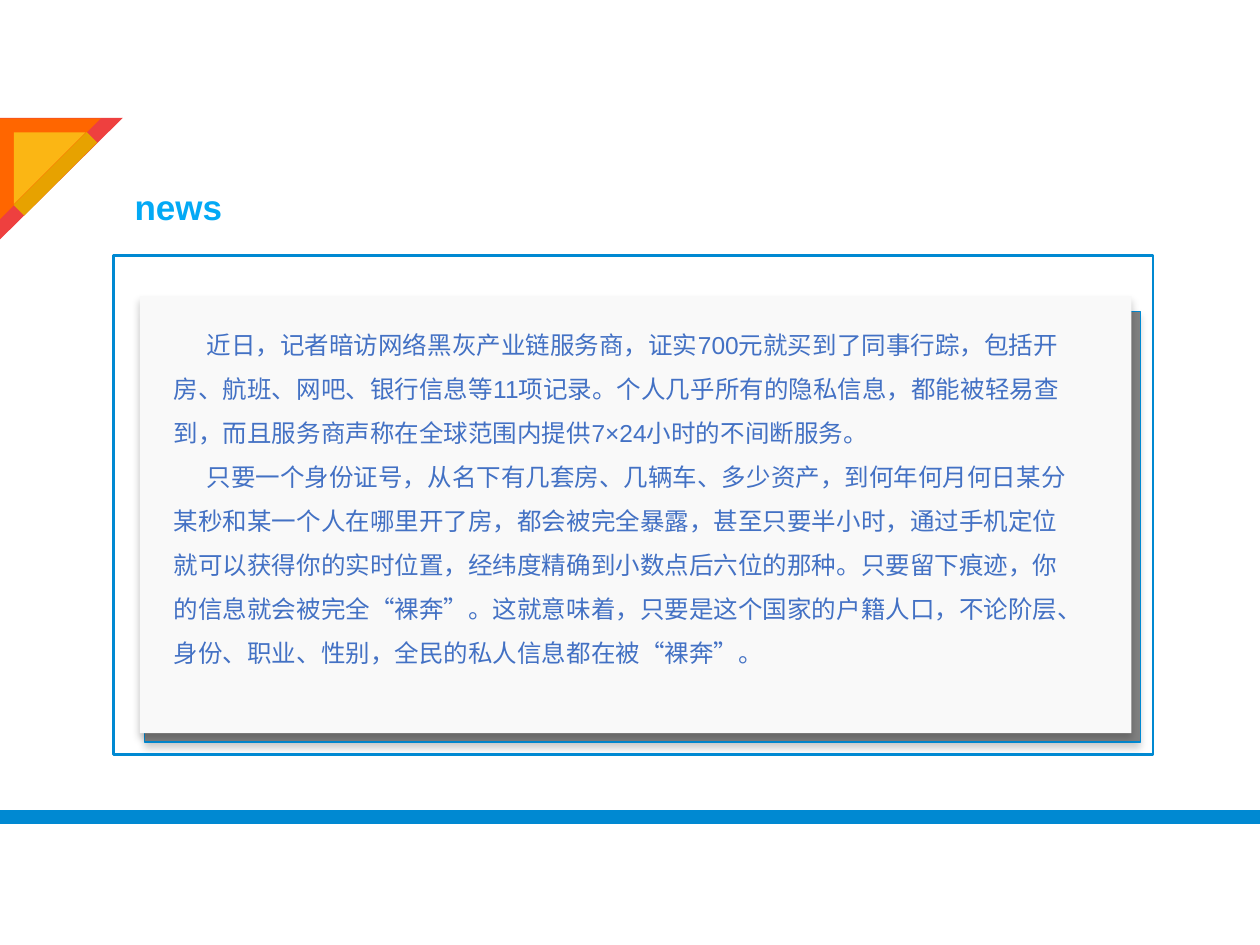
from lxml.etree import SubElement
from pptx import Presentation
from pptx.dml.color import RGBColor
from pptx.enum.lang import MSO_LANGUAGE_ID as Language
from pptx.enum.shapes import MSO_SHAPE as Shape
from pptx.enum.text import MSO_AUTO_SIZE as AutoSize
from pptx.oxml.ns import qn
from pptx.util import Inches, Pt

BLUE = RGBColor(0x00, 0x89, 0xD2)
TITLE_BLUE = RGBColor(0x03, 0xA9, 0xF5)
TEXT_BLUE = RGBColor(0x43, 0x71, 0xC4)
GRAY = RGBColor(0x80, 0x80, 0x80)
PAPER = RGBColor(0xF9, 0xF9, 0xF9)
RED = RGBColor(0xEE, 0x40, 0x3F)
ORANGE = RGBColor(0xFF, 0x66, 0x00)
YELLOW = RGBColor(0xFB, 0xB6, 0x14)
GOLD = RGBColor(0xE7, 0xA2, 0x00)

FONT = "Arial"
NEWS = [
    "近日，记者暗访网络黑灰产业链服务商，证实700元就买到了同事行踪，包括开房、航班、网吧、"
    "银行信息等11项记录。个人几乎所有的隐私信息，都能被轻易查到，而且服务商声称在全球范围内"
    "提供7×24小时的不间断服务。",
    "只要一个身份证号，从名下有几套房、几辆车、多少资产，到何年何月何日某分某秒和某一个人在"
    "哪里开了房，都会被完全暴露，甚至只要半小时，通过手机定位就可以获得你的实时位置，经纬度"
    "精确到小数点后六位的那种。只要留下痕迹，你的信息就会被完全“裸奔”。这就意味着，只要是"
    "这个国家的户籍人口，不论阶层、身份、职业、性别，全民的私人信息都在被“裸奔”。",
]


def add_block(slide, kind, box, fill=None, line=None, width=0.75, rotation=0):
    shape = slide.shapes.add_shape(kind, *map(Inches, box))
    shape.shadow.inherit = False
    shape.rotation = rotation
    if fill is None:
        shape.fill.background()
    else:
        shape.fill.solid()
        shape.fill.fore_color.rgb = fill
    if line is None:
        shape.line.fill.background()
    else:
        shape.line.color.rgb = line
        shape.line.width = Pt(width)
    return shape


def add_drop_shadow(shape):
    effects = shape.element.spPr.find(qn("a:effectLst"))
    shadow = SubElement(effects, qn("a:outerShdw"), blurRad=str(Pt(4)),
                        dist=str(Pt(3)), dir="5400000", algn="t", rotWithShape="0")
    color = SubElement(shadow, qn("a:srgbClr"), val="000000")
    SubElement(color, qn("a:alpha"), val="20000")


def add_text(slide, box, paragraphs, size, color, bold=False, spacing=None,
             indent=0, margins=(0.1, 0.05), language=None):
    frame = slide.shapes.add_textbox(*map(Inches, box)).text_frame
    frame.word_wrap = True
    frame.auto_size = AutoSize.SHAPE_TO_FIT_TEXT
    frame.margin_left = frame.margin_right = Inches(margins[0])
    frame.margin_top = frame.margin_bottom = Inches(margins[1])
    for index, text in enumerate(paragraphs):
        paragraph = frame.add_paragraph() if index else frame.paragraphs[0]
        paragraph.line_spacing = spacing
        if indent:
            properties = paragraph._p.get_or_add_pPr()
            properties.set("marL", "0")
            properties.set("indent", str(Inches(indent)))
        run = paragraph.add_run()
        run.text = text
        run.font.name = FONT
        run.font.size = Pt(size)
        run.font.bold = bold
        run.font.color.rgb = color
        if language:
            run.font.language_id = language


def add_news_panel(slide):
    for box, fill, line in [((1.15, 2.47, 7.9, 3.42), GRAY, BLUE),
                            ((1.11, 2.35, 7.87, 3.47), PAPER, None)]:
        add_drop_shadow(add_block(slide, Shape.RECTANGLE, box, fill, line))
    add_text(slide, (0.97, 1.42, 1.2, 0.43), ["news"], 20, TITLE_BLUE, bold=True)
    add_block(slide, Shape.RECTANGLE, (0.9, 2.03, 8.25, 3.96), line=BLUE, width=1.5)
    add_text(slide, (1.3, 2.46, 7.34, 2.91), NEWS, 14, TEXT_BLUE, spacing=1.5,
             indent=0.26, margins=(0.08, 0.04), language=Language.SIMPLIFIED_CHINESE)


def add_corner(slide):
    for box, fill in [((0, 0.93, 0.97, 0.98), RED),
                      ((0, 0.94, 0.8, 0.8), ORANGE),
                      ((0.11, 1.05, 0.57, 0.57), YELLOW)]:
        add_block(slide, Shape.RIGHT_TRIANGLE, box, fill, rotation=90)
    add_block(slide, Shape.RECTANGLE, (0.38, 0.97, 0.12, 0.82), GOLD, rotation=45)


def main():
    presentation = Presentation()
    presentation.slide_width = Inches(10)
    presentation.slide_height = Inches(7.5)
    slide = presentation.slides.add_slide(presentation.slide_layouts[6])
    add_news_panel(slide)
    add_block(slide, Shape.RECTANGLE, (0, 6.43, 10, 0.11), BLUE)
    add_corner(slide)
    presentation.save("out.pptx")


if __name__ == "__main__":
    main()
